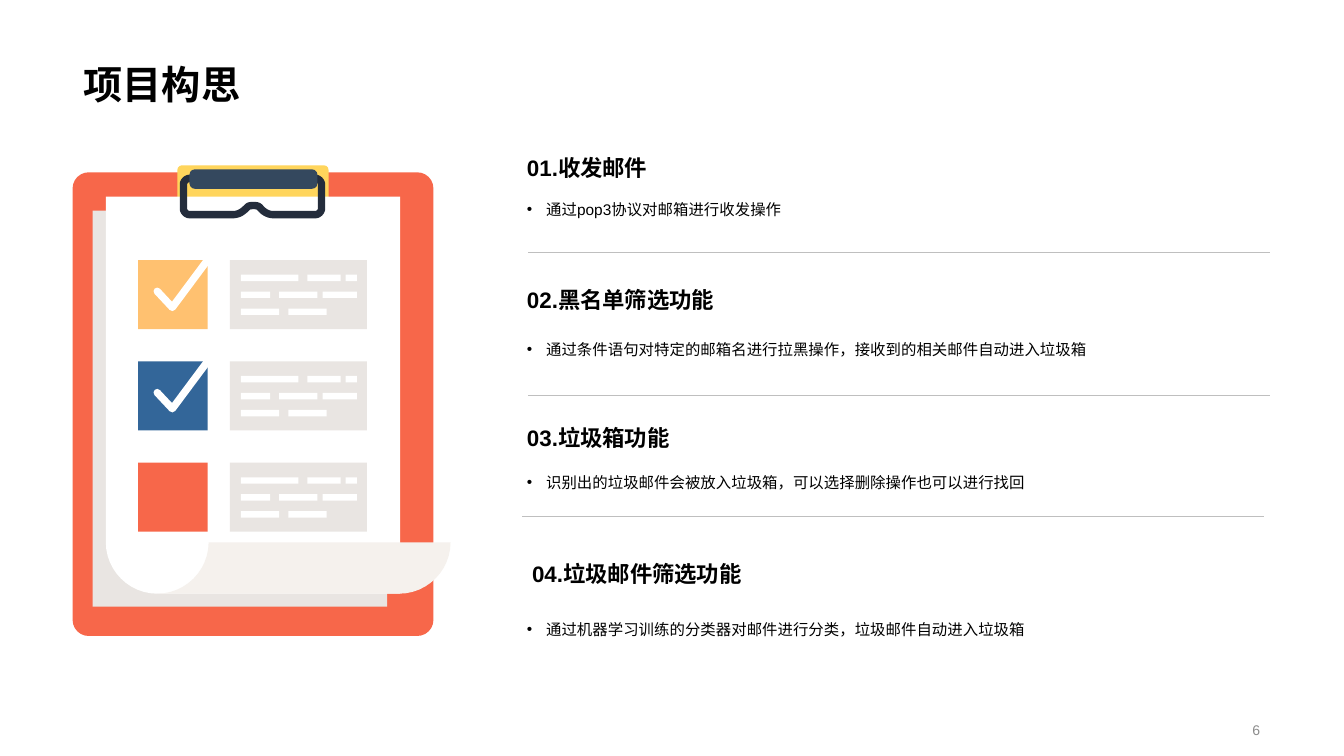
from dataclasses import dataclass

from lxml.etree import SubElement
from pptx import Presentation
from pptx.dml.color import RGBColor
from pptx.enum.shapes import MSO_CONNECTOR as Connector, MSO_SHAPE as Preset
from pptx.enum.text import MSO_ANCHOR as Anchor, MSO_AUTO_SIZE as AutoSize, PP_ALIGN as Align
from pptx.oxml.ns import qn
from pptx.util import Emu, Inches, Pt

WIDTH, HEIGHT = Inches(40 / 3), Inches(7.5)
ROWS = 45
PITCH = HEIGHT / ROWS
FONT = "Arial"
CORAL, STONE, WHITE, BLACK = "F7674A", "E9E5E2", "FFFFFF", "000000"
CURVE_STEPS = 12

Point = tuple[float, float]
Segment = tuple[Point, ...]


@dataclass(frozen=True)
class Area:
    """A rectangle in grid columns and rows."""
    left: float
    top: float
    width: float
    height: float


@dataclass(frozen=True)
class Block:
    """A rectangle of one colour, with an optional corner radius."""
    area: Area
    color: str
    radius: float = 0


@dataclass(frozen=True)
class Section:
    """A numbered heading with its explanation."""
    heading: str
    detail: str
    heading_top: float
    detail_top: float
    heading_left: float = 30.78


@dataclass(frozen=True)
class Style:
    """The look of a paragraph."""
    size: float
    bold: bool = False
    color: str = BLACK
    anchor: Anchor = Anchor.TOP
    align: Align = Align.LEFT
    spacing: float = 1
    bullet: bool = False


TITLE = Style(28, bold=True, anchor=Anchor.BOTTOM, spacing=0.9)
HEADING = Style(16, bold=True, anchor=Anchor.BOTTOM)
DETAIL = Style(11, spacing=1.5, bullet=True)
NUMBER = Style(10, color="8C8C8C", anchor=Anchor.MIDDLE, align=Align.RIGHT)

SECTIONS = (
    Section("01.收发邮件", "通过pop3协议对邮箱进行收发操作", 8.34, 11.04),
    Section("02.黑名单筛选功能",
            "通过条件语句对特定的邮箱名进行拉黑操作，接收到的相关邮件自动进入垃圾箱", 16.14, 19.38),
    Section("03.垃圾箱功能",
            "识别出的垃圾邮件会被放入垃圾箱，可以选择删除操作也可以进行找回", 24.36, 27.3),
    Section("04.垃圾邮件筛选功能",
            "通过机器学习训练的分类器对邮件进行分类，垃圾邮件自动进入垃圾箱", 32.46, 36.06, 31.08),
)
RULES: tuple[Point, ...] = ((31.44, 15), (31.44, 23.52), (31.08, 30.72))
RULE_WIDTH = 44.16

BOARD = Block(Area(4.32, 10.26, 21.48, 27.6), CORAL, 0.96)
PAPER_SHADE = Block(Area(5.52, 12.54, 17.52, 23.58), STONE)
CLIP_PLATE = Block(Area(10.56, 9.84, 9, 3.72), "FFD55C", 0.27)
CLIP_BAR = Block(Area(11.28, 10.08, 7.62, 1.16), "34485E", 0.32)
PAPER: tuple[Segment, ...] = (
    ((23.82, 35.34),), ((9.36, 35.34),),
    ((7.68, 35.34), (6.3, 33.96), (6.3, 32.28)),
    ((6.3, 11.7),), ((23.82, 11.7),),
)
CURL: tuple[Segment, ...] = (
    ((12.42, 32.28),), ((12.42, 33.96), (11.04, 35.34), (9.36, 35.34)),
    ((23.76, 35.34),), ((25.44, 35.34), (26.82, 33.96), (26.82, 32.28)),
)
WIRE: tuple[Segment, ...] = (
    ((18.78, 10.62),), ((11.28, 10.62),),
    ((11.1, 10.62), (10.92, 10.8), (10.92, 10.98)), ((10.92, 12.42),),
    ((10.92, 12.6), (11.1, 12.78), (11.28, 12.78)), ((13.86, 12.78),),
    ((14.22, 12.78), (14.46, 12.6), (14.7, 12.36)),
    ((14.82, 12.24), (14.88, 12.24), (15.12, 12.24)),
    ((15.24, 12.24), (15.36, 12.24), (15.48, 12.36)),
    ((15.66, 12.6), (15.96, 12.78), (16.26, 12.78)), ((18.78, 12.78),),
    ((18.96, 12.78), (19.14, 12.6), (19.14, 12.42)), ((19.14, 10.98),),
    ((19.14, 10.8), (18.96, 10.62), (18.78, 10.62)),
)

ITEM_TOP, ITEM_STEP, ITEM_HEIGHT = 15.48, 6.03, 4.11
ITEM_COLORS = ("FFC170", "336699", CORAL)
CHECKED_ITEMS = 2
CHECK: tuple[Point, ...] = ((9.36, 1.86), (10.26, 2.82), (12.36, 0))
BAR_TOP, BAR_STEP, BAR_HEIGHT = 0.87, 1.01, 0.38
BARS = (
    ((14.34, 3.42), (18.3, 1.98), (20.58, 0.66)),
    ((14.34, 1.74), (16.62, 2.28), (19.2, 2.04)),
    ((14.34, 2.28), (17.16, 2.28)),
)


def grid(count: float) -> Emu:
    """Turn grid columns or rows into a length."""
    return Emu(round(count * PITCH))


def place(area: Area) -> tuple[Emu, Emu, Emu, Emu]:
    """Turn an area into left, top, width and height."""
    return grid(area.left), grid(area.top), grid(area.width), grid(area.height)


def rgb(color: str) -> RGBColor:
    """Read a hex colour."""
    return RGBColor.from_string(color)


def write(box, text: str, style: Style) -> None:
    """Put one styled paragraph into a text shape."""
    frame = box.text_frame
    frame.word_wrap, frame.auto_size = True, AutoSize.NONE
    frame.vertical_anchor = style.anchor
    para = frame.paragraphs[0]
    para.text, para.alignment, para.line_spacing = text, style.align, style.spacing
    if style.bullet:
        properties = para._p.get_or_add_pPr()
        properties.set("marL", str(Inches(0.19)))
        properties.set("indent", str(-Inches(0.19)))
        SubElement(properties, qn("a:buFont"), typeface=FONT)
        SubElement(properties, qn("a:buChar"), char="•")
    font = para.font
    font.name, font.size, font.bold = FONT, Pt(style.size), style.bold
    font.color.rgb = rgb(style.color)


def add_text(page, area: Area, text: str, style: Style) -> None:
    """Add a text box."""
    write(page.shapes.add_textbox(*place(area)), text, style)


def add_block(page, block: Block) -> None:
    """Add a plain or rounded rectangle."""
    preset = Preset.ROUNDED_RECTANGLE if block.radius else Preset.RECTANGLE
    shape = page.shapes.add_shape(preset, *place(block.area))
    if block.radius:
        shape.adjustments[0] = block.radius / min(block.area.width, block.area.height)
    paint(shape, block.color)


def paint(shape, color: str) -> None:
    """Fill a shape and remove its line and shadow."""
    shape.shadow.inherit = False
    shape.fill.solid()
    shape.fill.fore_color.rgb = rgb(color)
    shape.line.fill.background()


def stroke(shape, color: str) -> None:
    """Draw a shape as a thick round line."""
    shape.shadow.inherit = False
    shape.fill.background()
    shape.line.color.rgb, shape.line.width = rgb(color), Pt(5.25)
    line = shape.line._get_or_add_ln()
    line.set("cap", "rnd")
    SubElement(line, qn("a:round"))


def flatten(segments: tuple[Segment, ...]) -> list[Point]:
    """Turn lines and cubic curves into a list of points."""
    points: list[Point] = []
    for segment in segments:
        if len(segment) == 1:
            points.append(segment[0])
            continue
        corners = (points[-1], *segment)
        for step in range(1, CURVE_STEPS + 1):
            t = step / CURVE_STEPS
            weights = ((1 - t) ** 3, 3 * t * (1 - t) ** 2, 3 * t * t * (1 - t), t ** 3)
            points.append(tuple(sum(w * c[axis] for w, c in zip(weights, corners))
                                for axis in (0, 1)))
    return points


def add_outline(page, points: list[Point], close: bool = True):
    """Add a freeform through the points."""
    builder = page.shapes.build_freeform(*map(grid, points[0]))
    builder.add_line_segments([(grid(x), grid(y)) for x, y in points[1:]], close=close)
    return builder.convert_to_shape()


def add_item(page, index: int) -> None:
    """Add a checklist item: its square, card, bars and check mark."""
    top = ITEM_TOP + index * ITEM_STEP
    add_block(page, Block(Area(8.22, top, 4.14, ITEM_HEIGHT), ITEM_COLORS[index]))
    add_block(page, Block(Area(13.68, top, 8.16, ITEM_HEIGHT), STONE))
    for line, bars in enumerate(BARS):
        for left, width in bars:
            bar_top = top + BAR_TOP + line * BAR_STEP
            add_block(page, Block(Area(left, bar_top, width, BAR_HEIGHT), WHITE))
    if index < CHECKED_ITEMS:
        stroke(add_outline(page, [(x, top + y) for x, y in CHECK], close=False), WHITE)


def add_clipboard(page) -> None:
    """Add the clipboard with its checklist."""
    for block in (BOARD, PAPER_SHADE, CLIP_PLATE):
        add_block(page, block)
    paint(add_outline(page, flatten(PAPER)), WHITE)
    stroke(add_outline(page, flatten(WIRE)), "242D3C")
    add_block(page, CLIP_BAR)
    paint(add_outline(page, flatten(CURL)), "F5F1ED")
    for index in range(len(ITEM_COLORS)):
        add_item(page, index)


def add_rule(page, left: float, top: float) -> None:
    """Add a thin dividing line."""
    rule = page.shapes.add_connector(
        Connector.STRAIGHT, grid(left), grid(top), grid(left + RULE_WIDTH), grid(top))
    rule.line.color.rgb, rule.line.width = rgb("BFBFBF"), Pt(0.25)
    SubElement(rule._element.spPr, qn("a:effectLst"))


def main() -> None:
    """Build and save the slide."""
    deck = Presentation()
    deck.slide_width, deck.slide_height = WIDTH, HEIGHT
    page = deck.slides.add_slide(deck.slide_layouts[5])
    title = page.shapes.title
    title.left, title.top, title.width, title.height = place(Area(4.38, 0, 71.22, 6.72))
    write(title, "项目构思", TITLE)
    add_text(page, Area(56.52, 42.78, 19.08, 1.38), "6", NUMBER)
    add_clipboard(page)
    for section in SECTIONS:
        add_text(page, Area(section.heading_left, section.heading_top, 44.82, 2.76),
                 section.heading, HEADING)
        add_text(page, Area(30.78, section.detail_top, 44.82, 6.18), section.detail, DETAIL)
    for left, top in RULES:
        add_rule(page, left, top)
    deck.save("out.pptx")


if __name__ == "__main__":
    main()
